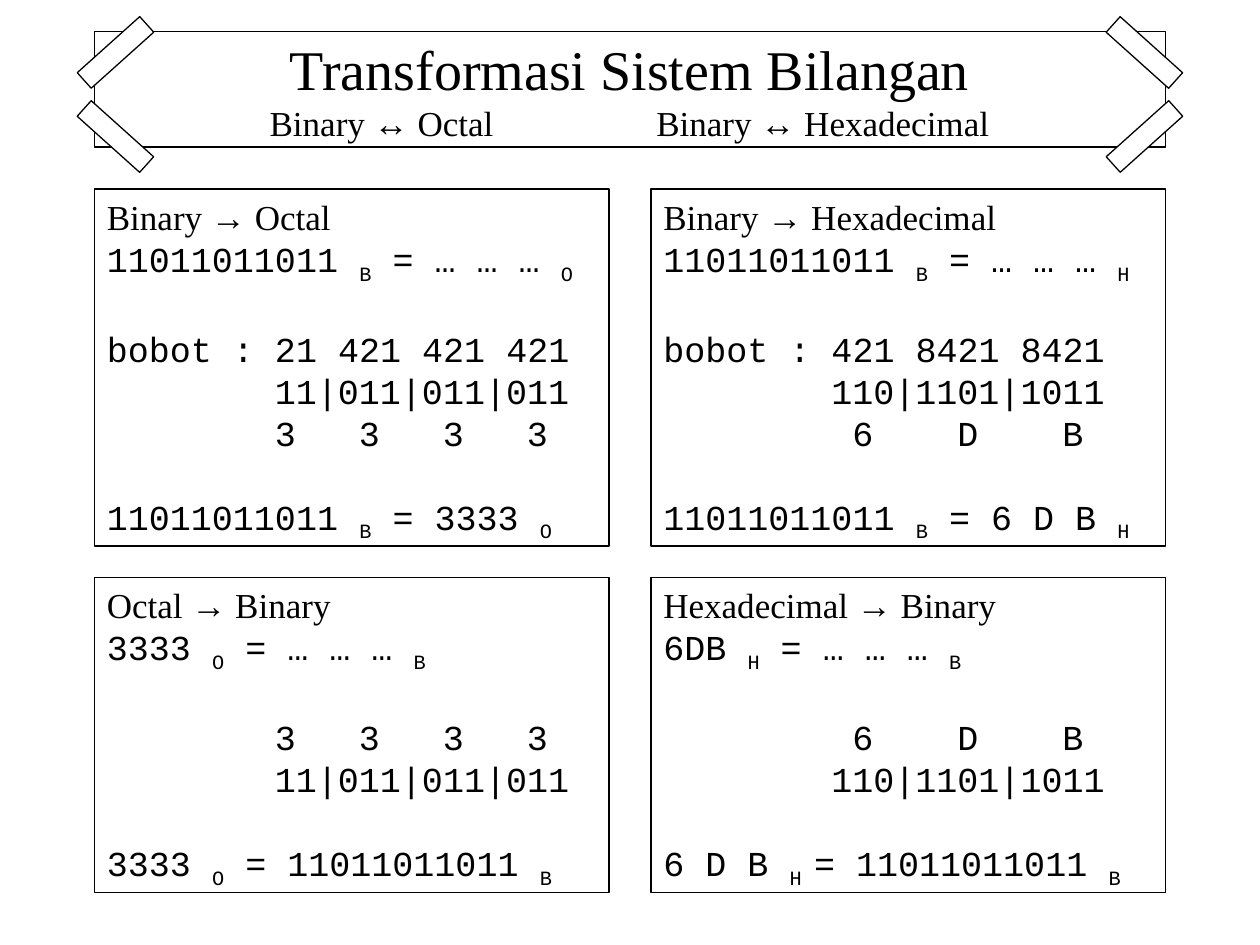
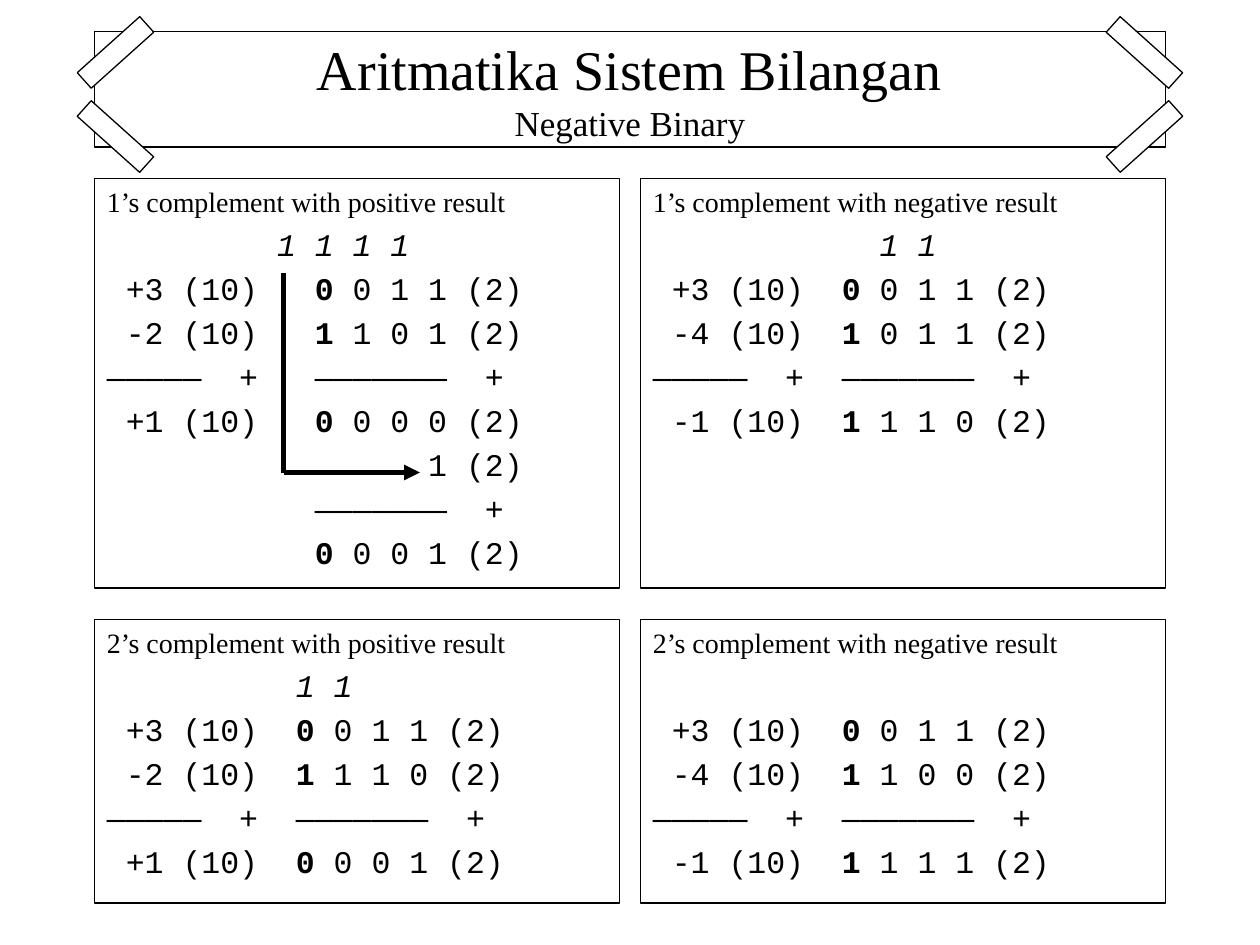
from lxml.etree import SubElement as Sub
from pptx import Presentation
from pptx.dml.color import RGBColor as RGB
from pptx.enum.shapes import MSO_CONNECTOR as Conn, MSO_SHAPE as Shape
from pptx.enum.text import MSO_ANCHOR as Anchor, PP_ALIGN as Align
from pptx.oxml.ns import qn
from pptx.util import Pt

INK = {"line": "000000", "paper": "FFFFFF"}
SERIF, MONO = "Times New Roman", "Courier New"
CELL = 0.6  # width of a monospaced letter, per point of size
MARKS = {"_": "sub", "*": "bold", "/": "italic"}


class Deck:
    def __init__(self):
        self.prs = Presentation()
        self.prs.slide_width, self.prs.slide_height = Pt(720), Pt(540)
        self.slide = None

    def page(self, title, sub, stops=()):
        """Start a slide with the taped title sign."""
        self.slide = self.prs.slides.add_slide(self.prs.slide_layouts[6])
        frame = self.box(54, 18, 612, 66).text_frame
        frame.vertical_anchor = Anchor.MIDDLE
        frame.text = title + "\n" + sub
        for para, size in zip(frame.paragraphs, (32, 20)):
            para.alignment = Align.CENTER
            self.font(para.runs[0], SERIF, size)
        if stops:
            para.alignment = Align.LEFT
            self.tabs(para, stops)
        for left, top, turn in ((60, 54, -48.1), (648, 6, -48.1),
                                (60, 6, 48.1), (648, 54, 48.1)):
            tape = self.box(left, top, 12, 48, INK["paper"])
            tape.rotation = turn

    def box(self, left, top, width, height, fill=None):
        shape = self.slide.shapes.add_shape(
            Shape.RECTANGLE, Pt(left), Pt(top), Pt(width), Pt(height))
        shape.shadow.inherit = False
        if fill:
            shape.fill.solid()
            shape.fill.fore_color.rgb = RGB.from_string(fill)
        else:
            shape.fill.background()
        shape.line.color.rgb = RGB.from_string(INK["line"])
        shape.line.width = Pt(0.75)
        return shape

    def font(self, run, name, size):
        run.font.name, run.font.size = name, Pt(size)
        run.font.color.rgb = RGB.from_string(INK["line"])

    def tabs(self, para, stops):
        props = para._p.get_or_add_pPr()
        group = Sub(props, qn("a:tabLst"))
        for stop in stops:
            Sub(group, qn("a:tab"), pos=str(int(Pt(stop))), algn="l")

    def row(self, para, text, cols, size):
        """Write a monospaced line; cols are tab stops counted in letters."""
        if cols:
            self.tabs(para, [col * size * CELL for col in cols])
        mark = next((m for m in MARKS if m in text), "_")
        for i, part in enumerate(text.split(mark)):
            if not part:
                continue
            run = para.add_run()
            run.text = part
            self.font(run, MONO, size)
            if i % 2 and MARKS[mark] == "sub":
                run._r.get_or_add_rPr().set("baseline", "-25000")
            elif i % 2:
                setattr(run.font, MARKS[mark], True)

    def panel(self, place, head, rows, sizes, space=0):
        """Draw a framed panel; each row is text, columns, lines skipped."""
        frame = self.box(*place).text_frame
        frame.word_wrap = True
        frame.vertical_anchor = Anchor.TOP
        frame.text = head
        first = frame.paragraphs[0]
        first.alignment = Align.LEFT
        self.font(first.runs[0], SERIF, sizes[0])
        for text, cols, skip in rows:
            para = frame.add_paragraph()
            para.alignment = Align.LEFT
            para.space_before = Pt(space + skip * (1.2 * sizes[1] + space))
            self.row(para, text, cols, sizes[1])

    def line(self, start, end, arrow=False):
        line = self.slide.shapes.add_connector(
            Conn.STRAIGHT, *map(Pt, start + end))
        line.line.color.rgb = RGB.from_string(INK["line"])
        line.line.width = Pt(3)
        if arrow:
            Sub(line.line._get_or_add_ln(), qn("a:tailEnd"), type="triangle")
        Sub(line._element.spPr, qn("a:effectLst"))


def total(col, carry, *nums):
    """Rows of a signed sum whose bits start at the given column."""
    first, second, last = [
        (f"\t{num} (10)\t*{bits[0]}*{bits[1:]} (2)", (1, col), 0)
        for num, bits in nums]
    rule = ("—————\t+\t———————\t+", (7, col, col + 9), 0)
    if carry:
        return [carry, first, second, rule, last]
    return [first[:2] + (1,), second, rule, last]


def main():
    deck = Deck()

    # Number system conversions
    deck.page("Transformasi Sistem Bilangan",
              "\tBinary ↔ Octal\tBinary ↔ Hexadecimal", (93, 314))
    bits = "11011011011"
    kinds = (
        ("Octal", "O", "3333", "3333", "21 421 421 421",
         "11|011|011|011", "\t3\t3\t3\t3", (8, 12, 16, 20)),
        ("Hexadecimal", "H", "6DB", "6 D B", "421 8421 8421",
         "110|1101|1011", "\t6\tD\tB", (9, 14, 19)))
    for i, (name, base, short, wide, weight, split, digits, cols) in enumerate(kinds):
        left = 54 + 318 * i
        tail = "_H _= " if base == "H" else "_O_ = "
        groups = ("\t" + split, (8,), 0)
        deck.panel((left, 108, 294, 204), f"Binary → {name}", [
            (f"{bits} _B_ = … … … _{base}", (), 0),
            (f"bobot : {weight}", (), 1),
            groups,
            (digits, cols, 0),
            (f"{bits} _B_ = {wide} _{base}", (), 1)], (20, 20))
        deck.panel((left, 330, 294, 180), f"{name} → Binary", [
            (f"{short} _{base}_ = … … … _B", (), 0),
            (digits, cols, 1),
            groups,
            (f"{wide} {tail}{bits} _B", (), 1)], (20, 20))

    # Sums with complements
    deck.page("Aritmatika Sistem Bilangan", "Negative Binary")
    three = ("+3", "0 0 1 1")
    again = [("\t1 (2)", (17,), 0), ("\t———————\t+", (11, 20), 0),
             ("\t*0* 0 0 1 (2)", (11,), 0)]
    sums = (
        ("1’s complement with positive result",
         total(11, ("\t/1 1 1 1", (9,), 0), three,
               ("-2", "1 1 0 1"), ("+1", "0 0 0 0")) + again),
        ("1’s complement with negative result",
         total(10, ("\t/1 1", (12,), 0), three,
               ("-4", "1 0 1 1"), ("-1", "1 1 1 0"))),
        ("2’s complement with positive result",
         total(10, ("\t/1 1", (10,), 0), three,
               ("-2", "1 1 1 0"), ("+1", "0 0 0 1"))),
        ("2’s complement with negative result",
         total(10, None, three, ("-4", "1 1 0 0"), ("-1", "1 1 1 1"))))
    for i, (head, rows) in enumerate(sums):
        top, height = ((102, 234), (354, 162))[i // 2]
        deck.panel((54 + 312 * (i % 2), top, 300, height), head, rows,
                   (16, 18), 3.6)

    # End-around carry
    deck.line((162, 156), (162, 270))
    deck.line((162, 270), (240, 270), arrow=True)

    deck.prs.save("out.pptx")


if __name__ == "__main__":
    main()
